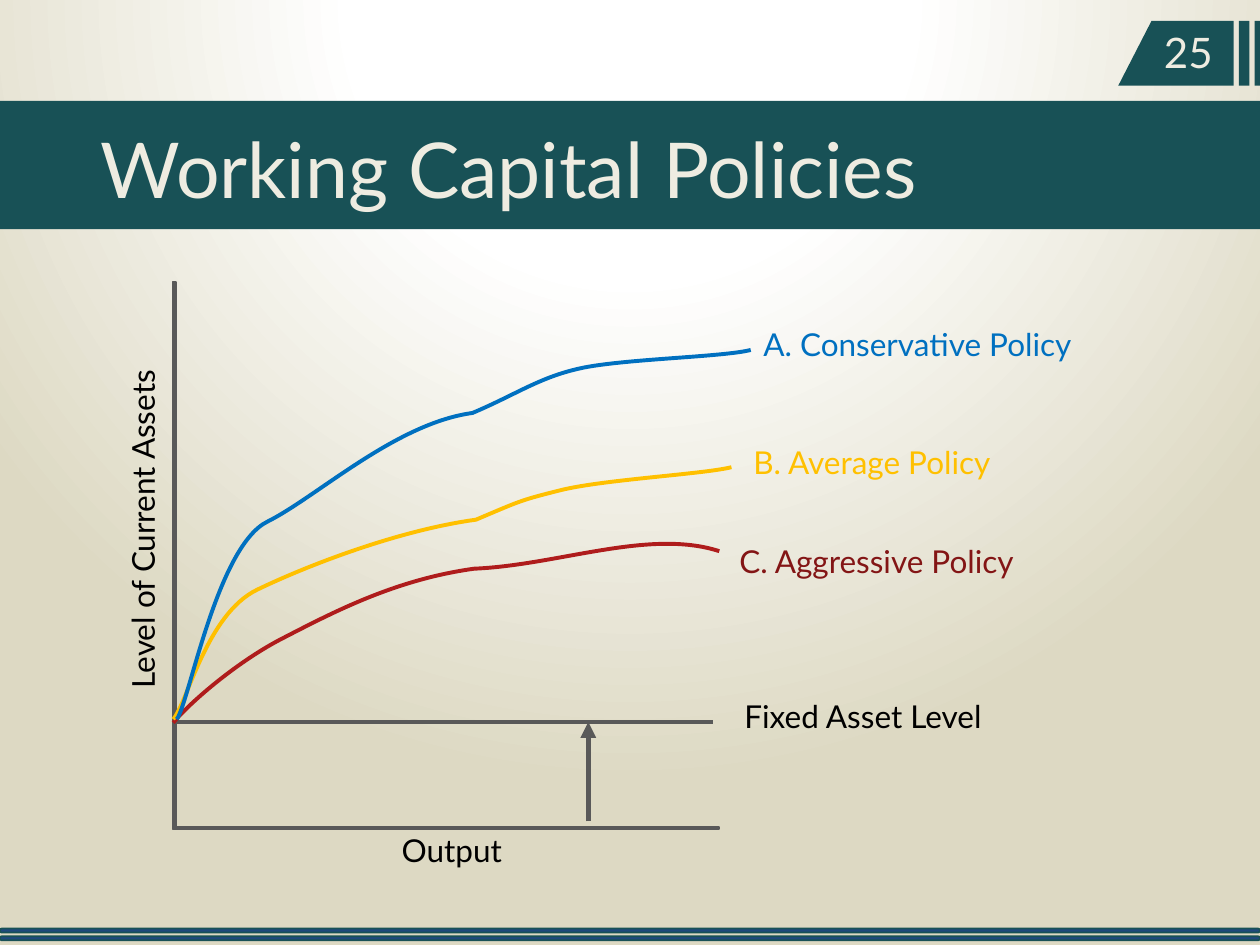
from lxml.etree import SubElement
from pptx import Presentation
from pptx.dml.color import RGBColor
from pptx.enum.shapes import MSO_CONNECTOR, MSO_SHAPE
from pptx.oxml import parse_xml
from pptx.oxml.ns import nsdecls, qn
from pptx.util import Pt

COLORS = {
    "teal": "185156", "navy": "1F497D", "cream": "EEECE1", "axis": "595959",
    "black": "000000", "white": "FFFFFF", "sand": "DDD9C3",
    "red": "AF1C1C", "dark red": "831515", "gold": "FFC000", "blue": "0070C0",
}

# Content: text, box (left, top, width, height), format
LABELS = [
    ("Working Capital Policies", (50.4, 66.2, 634.3, 60.5), dict(size=44, color="cream")),
    ("25", (658, 11.5, 44.6, 36), dict(size=24, color="cream")),
    ("Fixed Asset Level", (418.3, 394.6, 189.4, 28.8), dict()),
    ("C. Aggressive Policy", (415.4, 306, 189.4, 28.8), dict(color="dark red")),
    ("B. Average Policy", (423.4, 249.8, 189.4, 28.8), dict(color="gold")),
    ("A. Conservative Policy", (429.1, 182.2, 197.3, 28.8), dict(color="blue")),
    ("Output", (222.5, 471.6, 83.5, 28.8), dict()),
    ("Level of Current Assets", (-18.7, 285.8, 200.2, 28.8), dict(rotation=270)),
]

# Policy curves: a start point, then three Bézier points per segment
CURVES = [
    ("red", [(411.1, 314.6),
             (370.8, 302.4), (319, 322.6), (270.7, 325.4),
             (226.8, 331.2), (191.5, 349.2), (163.4, 363.6),
             (134.6, 378), (106.6, 403.2), (99.4, 412.6)]),
    ("gold", [(418.3, 267.1),
              (402.5, 270.7), (345.6, 274.3), (321.1, 280.1),
              (297.4, 285.8), (298.1, 285.8), (272.2, 297.4),
              (228.2, 303.1), (175.7, 322.6), (146.9, 337),
              (118.1, 351.4), (106.6, 401.8), (99.4, 411.1)]),
    ("blue", [(429.1, 200.2),
              (412.6, 203.8), (360, 205.2), (334.1, 209.5),
              (308.9, 215.3), (295.9, 224.6), (270, 236.2),
              (226.1, 241.9), (180.7, 283.7), (152.6, 298.1),
              (123.8, 312.5), (108, 401.8), (100.8, 411.1)]),
]

# Page tab: left edges (top, bottom) and right edge of each piece
TAB_PIECES = [(658.1, 638.6, 704.9), (707.8, 707.8, 714.2), (717.1, 717.1, 720)]
TAB_TOP, TAB_BOTTOM = 12.2, 49
FOOTER_TOPS = [530.6, 535]

prs = Presentation()
prs.slide_width, prs.slide_height = Pt(720), Pt(540)
slide = prs.slides.add_slide(prs.slide_layouts[6])
shapes = slide.shapes


def rgb(color):
    return RGBColor.from_string(COLORS[color])


def paint(shape, fill=None, line=None, width=1):
    shape.shadow.inherit = False
    if fill:
        shape.fill.solid()
        shape.fill.fore_color.rgb = rgb(fill)
    else:
        shape.fill.background()
    if line:
        shape.line.color.rgb = rgb(line)
        shape.line.width = Pt(width)
    else:
        shape.line.fill.background()


def add_block(kind, box, **colors):
    block = shapes.add_shape(kind, *map(Pt, box))
    paint(block, **colors)
    return block


def add_curve(points, color):
    builder = shapes.build_freeform(*points[0], scale=Pt(1))
    builder.add_line_segments(points[1:], close=False)
    curve = builder.convert_to_shape()
    # Every three straight segments become one Bézier segment
    segments = list(curve.element.iter(qn("a:lnTo")))
    outline = segments[0].getparent()
    for i in range(0, len(segments), 3):
        bezier = SubElement(outline, qn("a:cubicBezTo"))
        for segment in segments[i:i + 3]:
            bezier.append(segment[0])
            outline.remove(segment)
    paint(curve, line=color, width=2.25)


def add_rule(start, end, width, arrow=False):
    rule = shapes.add_connector(MSO_CONNECTOR.STRAIGHT, *map(Pt, start + end))
    rule.line.color.rgb = rgb("axis")
    rule.line.width = Pt(width)
    if arrow:
        SubElement(rule.element.spPr.find(qn("a:ln")), qn("a:tailEnd"), type="triangle")
    SubElement(rule.element.spPr, qn("a:effectLst"))


def add_text(text, box, size=18, color="black", rotation=0):
    label = shapes.add_textbox(*map(Pt, box))
    label.rotation = rotation
    label.text_frame.word_wrap = True
    run = label.text_frame.paragraphs[0].add_run()
    run.text = text
    run.font.name = "Lato"
    run.font.size = Pt(size)
    run.font.color.rgb = rgb(color)


# Background: circular gradient centred above the slide
stops = "".join(
    f'<a:gs pos="{pos * 1000}"><a:srgbClr val="{COLORS[color]}"/></a:gs>'
    for pos, color in [(0, "white"), (35, "white"), (100, "sand")])
slide.background.fill.solid()
bg_props = next(slide.element.iter(qn("p:bgPr")))
bg_props.replace(bg_props[0], parse_xml(
    f'<a:gradFill {nsdecls("a")} rotWithShape="1"><a:gsLst>{stops}</a:gsLst>'
    '<a:path path="circle"><a:fillToRect l="50000" t="-80000" r="50000" b="180000"/>'
    '</a:path></a:gradFill>'))

# Title band, footer bars and page tab
add_block(MSO_SHAPE.RECTANGLE, (0, 57.6, 720, 73.4), fill="teal")
for top in FOOTER_TOPS:
    bar = add_block(MSO_SHAPE.ROUNDED_RECTANGLE, (0, top, 720, 2.3), fill="navy", line="teal")
    bar.adjustments[0] = 0.5

first_left = TAB_PIECES[0][0]
tab = shapes.build_freeform(first_left, TAB_TOP, scale=Pt(1))
for top_left, bottom_left, right in TAB_PIECES:
    if top_left != first_left:
        tab.move_to(top_left, TAB_TOP)
    tab.add_line_segments(
        [(right, TAB_TOP), (right, TAB_BOTTOM), (bottom_left, TAB_BOTTOM)], close=True)
paint(tab.convert_to_shape(), fill="teal")

# Chart axes, fixed asset level, curves and output arrow
axes = add_block(MSO_SHAPE.CORNER, (98.6, 161.3, 312.5, 312.5), fill="axis", line="axis")
axes.adjustments[0], axes.adjustments[1] = 0.004, 0.006
add_rule((99.4, 412.6), (407.5, 412.6), 2.25)
for color, points in CURVES:
    add_curve(points, color)
add_rule((336.2, 469.4), (336.2, 412.6), 3, arrow=True)

# Text
for text, box, style in LABELS:
    add_text(text, box, **style)

prs.save("out.pptx")
